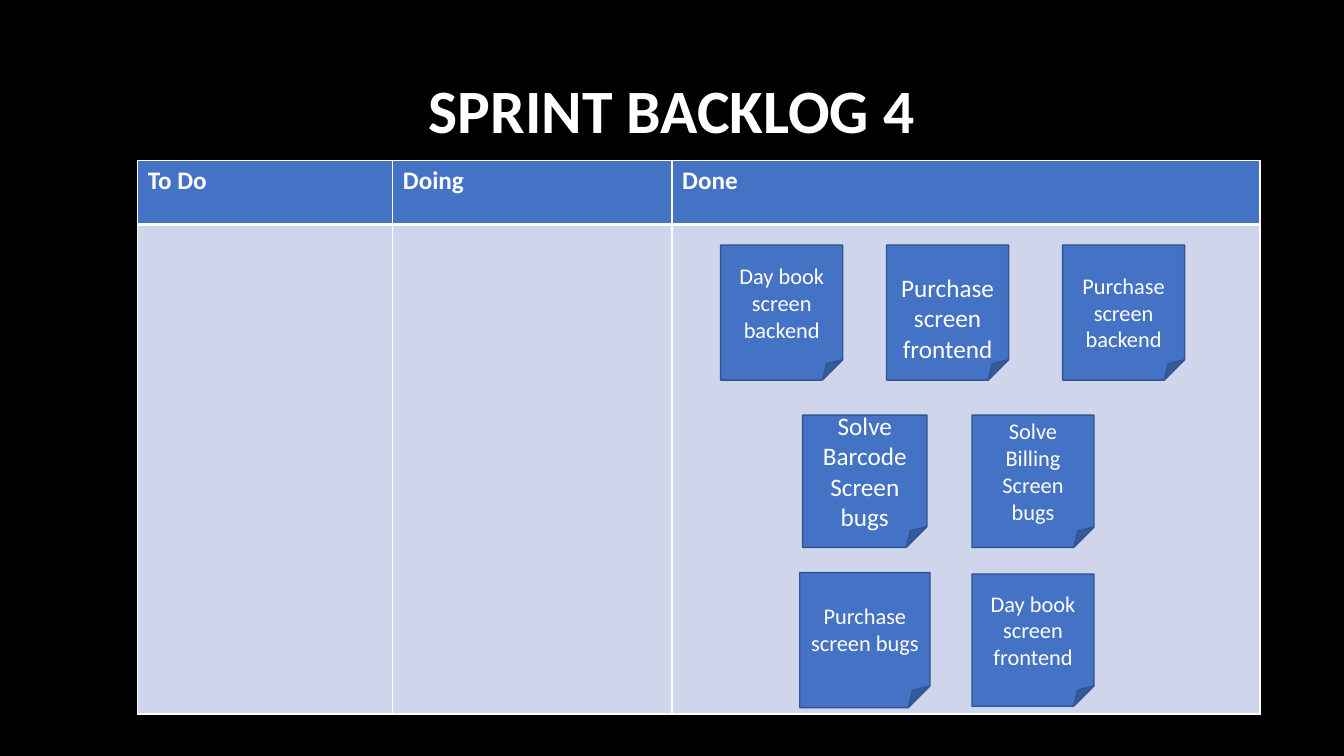
"""Build the sprint backlog board slide."""
from typing import NamedTuple

from lxml.etree import SubElement
from pptx import Presentation
from pptx.dml.color import RGBColor
from pptx.enum.shapes import MSO_SHAPE as Shape
from pptx.enum.text import MSO_ANCHOR as Anchor, PP_ALIGN as Align
from pptx.oxml.ns import qn
from pptx.slide import Slide
from pptx.table import _Cell as Cell
from pptx.text.text import TextFrame
from pptx.util import Pt

WHITE, BLUE, NAVY, PALE, BLACK = "FFFFFF", "4472C4", "325491", "CFD5EA", "000000"
FONT = "Calibri"
ROW_1, ROW_2, ROW_3 = 175, 296.5, 410


class Note(NamedTuple):
    task: str
    left: float
    top: float
    width: float = 87.2
    height: float = 94.5
    size: float = 16
    drop: float = 0


class Column(NamedTuple):
    heading: str
    width: float


NOTES = [
    Note("Day book screen backend", 514.8, ROW_1, height=96.5),
    Note("Purchase screen frontend", 633.3, ROW_1, height=96.5, size=18, drop=22),
    Note("Purchase screen backend", 759, ROW_1, height=96.5, drop=14),
    Note("Solve Barcode Screen bugs", 573.3, ROW_2, width=88.8, size=18),
    Note("Solve Billing Screen bugs", 694.3, ROW_2),
    Note("Purchase screen bugs", 571.3, ROW_3 - 1, width=93, height=96.5),
    Note("Day book screen frontend", 694.3, ROW_3),
]
COLUMNS = [Column("To Do", 182.2), Column("Doing", 199.5), Column("Done", 420)]
HEADER_HEIGHT, BODY_HEIGHT = 45.7, 349.7


def rgb(value: str) -> RGBColor:
    return RGBColor.from_string(value)


def write(frame: TextFrame, text: str, size: float, bold: bool = False,
          align: Align = Align.CENTER) -> None:
    frame.word_wrap = True
    paragraph = frame.paragraphs[0]
    paragraph.text = text
    paragraph.alignment = align
    font = paragraph.font
    font.name, font.size, font.bold = FONT, Pt(size), bold
    font.color.rgb = rgb(WHITE)


def add_title(slide: Slide, text: str) -> None:
    title = slide.shapes.add_textbox(Pt(66), Pt(28.8), Pt(828), Pt(104.4)).text_frame
    write(title, text, 44, bold=True)
    title.vertical_anchor = Anchor.MIDDLE
    title.paragraphs[0].line_spacing = 0.9


def style_cell(cell: Cell, fill: str, top: float, bottom: float) -> None:
    properties = cell._tc.get_or_add_tcPr()
    for side, width in (("L", 1), ("R", 1), ("T", top), ("B", bottom)):
        border = SubElement(properties, qn(f"a:ln{side}"), w=str(Pt(width)))
        solid = SubElement(border, qn("a:solidFill"))
        SubElement(solid, qn("a:srgbClr"), val=WHITE)
    cell.fill.solid()
    cell.fill.fore_color.rgb = rgb(fill)


def add_board(slide: Slide, columns: list[Column]) -> None:
    total = sum(column.width for column in columns)
    board = slide.shapes.add_table(2, len(columns), Pt(98.4), Pt(114.6), Pt(total),
                                   Pt(HEADER_HEIGHT + BODY_HEIGHT)).table
    board.rows[0].height = Pt(HEADER_HEIGHT)
    board.rows[1].height = Pt(BODY_HEIGHT)
    for index, column in enumerate(columns):
        board.columns[index].width = Pt(column.width)
        header = board.cell(0, index)
        write(header.text_frame, column.heading, 18, bold=True, align=Align.LEFT)
        style_cell(header, BLUE, 1, 3)
        style_cell(board.cell(1, index), PALE, 3, 1)


def add_note(slide: Slide, note: Note) -> None:
    sticky = slide.shapes.add_shape(Shape.FOLDED_CORNER, Pt(note.left), Pt(note.top),
                                    Pt(note.width), Pt(note.height))
    sticky.shadow.inherit = False
    sticky.fill.solid()
    sticky.fill.fore_color.rgb = rgb(BLUE)
    sticky.line.color.rgb = rgb(NAVY)
    sticky.line.width = Pt(1)
    frame = sticky.text_frame
    write(frame, note.task, note.size)
    frame.vertical_anchor = Anchor.MIDDLE
    frame.margin_top = Pt(3.6 + note.drop)


def main() -> None:
    deck = Presentation()
    deck.slide_width, deck.slide_height = Pt(960), Pt(540)
    slide = deck.slides.add_slide(deck.slide_layouts[6])
    slide.background.fill.solid()
    slide.background.fill.fore_color.rgb = rgb(BLACK)
    add_title(slide, "SPRINT BACKLOG 4")
    add_board(slide, COLUMNS)
    for note in NOTES:
        add_note(slide, note)
    deck.save("out.pptx")


if __name__ == "__main__":
    main()
